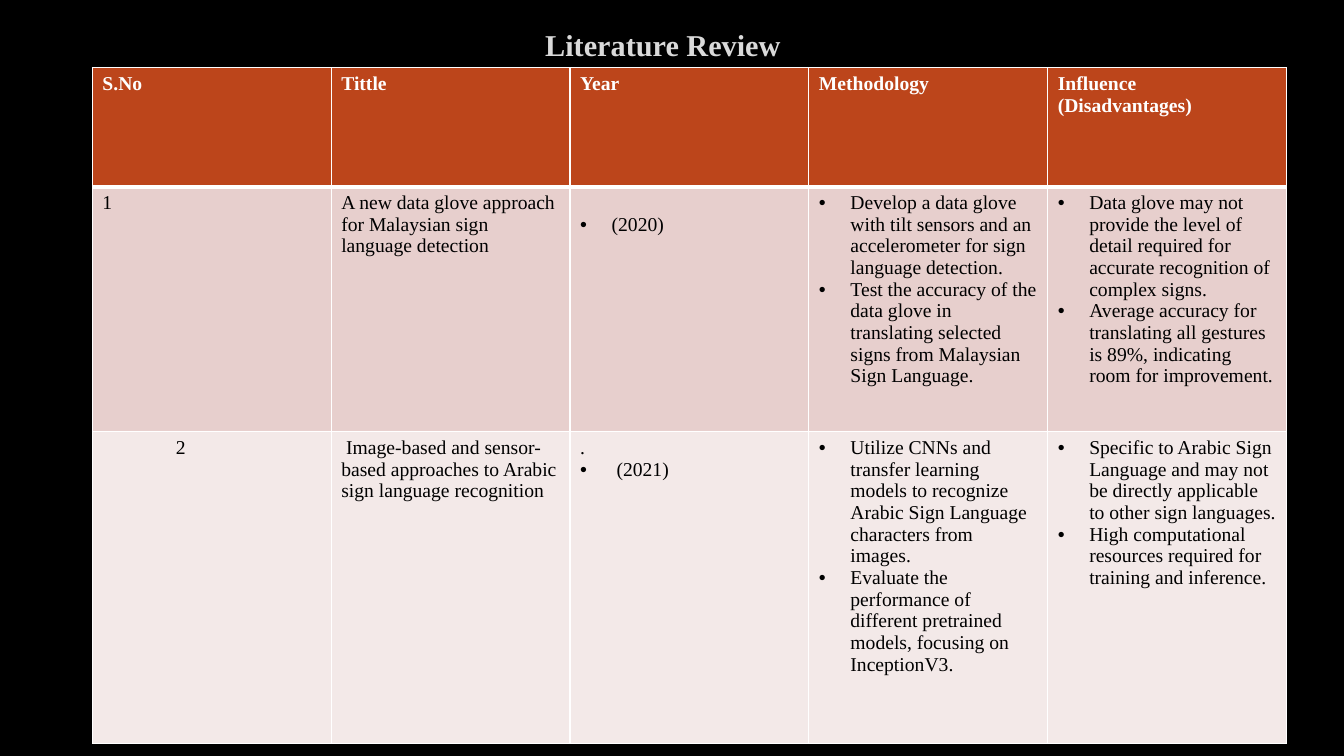
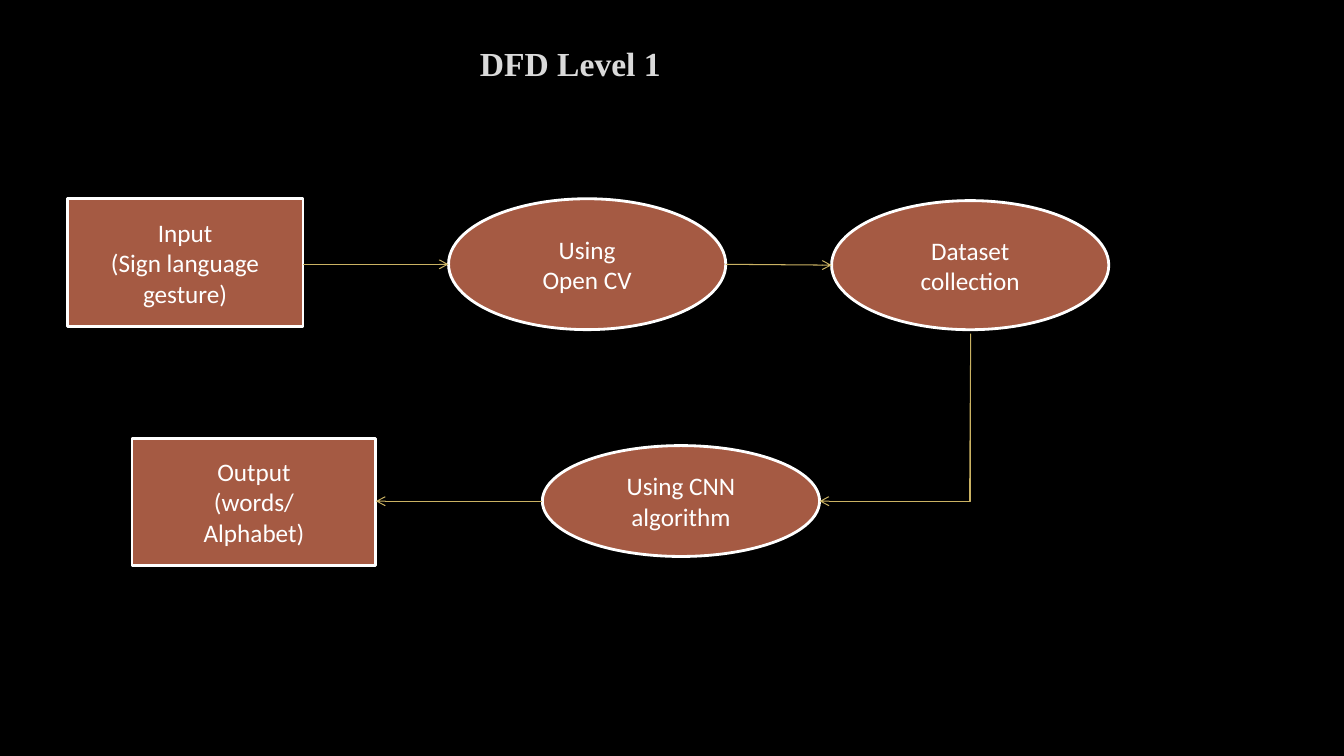
from collections import namedtuple
from functools import partial

from lxml import etree
from pptx import Presentation
from pptx.dml.color import RGBColor
from pptx.enum.shapes import MSO_CONNECTOR, MSO_SHAPE
from pptx.enum.text import MSO_ANCHOR, MSO_AUTO_SIZE, PP_ALIGN
from pptx.oxml.ns import qn
from pptx.util import Pt

RECT, ELLIPSE = MSO_SHAPE.RECTANGLE, MSO_SHAPE.OVAL
STRAIGHT, ELBOW = MSO_CONNECTOR.STRAIGHT, MSO_CONNECTOR.ELBOW
LEFT, CENTER = PP_ALIGN.LEFT, PP_ALIGN.CENTER
TOP, MIDDLE = MSO_ANCHOR.TOP, MSO_ANCHOR.MIDDLE
NO_FIT = MSO_AUTO_SIZE.NONE

SERIF, SANS = "Times New Roman", "Calibri"
BLACK, WHITE, SILVER = "000000", "FFFFFF", "DADADA"
HEADER, ROW_FILLS = "BC451B", ("E7CFCD", "F3E9E8")
NODE, ARROW = "A55A43", "CAB263"

Para = namedtuple("Para", "text left first bullet", defaults=(0, 0, False))
Bullet = partial(Para, left=22.5, first=-22.5, bullet=True)


def rgb(value):
    return RGBColor.from_string(value)


def paint(fill, color):
    fill.solid()
    fill.fore_color.rgb = rgb(color)


def add_xml(parent, tag, **attrs):
    return etree.SubElement(parent, qn(tag), attrs)


def write(tf, paras, size=18, color=WHITE, font=SANS, bold=False, align=CENTER):
    """Fill a text frame with strings or Para items, one paragraph each."""
    for i, item in enumerate(paras):
        para = item if isinstance(item, Para) else Para(item)
        p = tf.paragraphs[0] if i == 0 else tf.add_paragraph()
        p.alignment = align
        if para.left or para.first:
            pPr = p._p.get_or_add_pPr()
            pPr.set("marL", str(Pt(para.left)))
            pPr.set("indent", str(Pt(para.first)))
            if para.bullet:
                add_xml(pPr, "a:buFont", typeface="Arial")
                add_xml(pPr, "a:buChar", char="•")
        r = p.add_run()
        r.text = para.text
        r.font.size, r.font.name, r.font.bold = Pt(size), font, bold
        r.font.color.rgb = rgb(color)


def set_borders(cell, **widths):
    """Draw white borders; keys are L, R, T and B, values are points."""
    tcPr = cell._tc.get_or_add_tcPr()
    for side in "LRTB":
        ln = add_xml(tcPr, "a:ln" + side, w=str(Pt(widths.get(side, 1))))
        add_xml(add_xml(ln, "a:solidFill"), "a:srgbClr", val=WHITE)


class Deck:
    def __init__(self):
        self.prs = Presentation()
        self.prs.slide_width, self.prs.slide_height = Pt(960), Pt(540)
        paint(self.prs.slide_master.background.fill, BLACK)
        self.s = None

    def slide(self, title, x, y, w, h, size):
        self.s = self.prs.slides.add_slide(self.prs.slide_layouts[5])
        sp = self.s.shapes.title
        sp.left, sp.top, sp.width, sp.height = map(Pt, (x, y, w, h))
        tf = sp.text_frame
        tf.auto_size, tf.vertical_anchor = NO_FIT, MIDDLE
        write(tf, [title], size, SILVER, SERIF, bold=True)

    def table(self, rows, x, y, col_width, heights):
        cols = len(rows[0])
        frame = self.s.shapes.add_table(len(rows), cols, Pt(x), Pt(y),
                                        Pt(col_width * cols), Pt(sum(heights)))
        table = frame.table
        for col in table.columns:
            col.width = Pt(col_width)
        for i, (row, height) in enumerate(zip(rows, heights)):
            table.rows[i].height = Pt(height)
            for j, paras in enumerate(row):
                self.cell(table.cell(i, j), paras, i)
        return table

    def cell(self, cell, paras, row):
        head = row == 0
        set_borders(cell, B=3 if head else 1, T=3 if row == 1 else 1)
        paint(cell.fill, HEADER if head else ROW_FILLS[(row - 1) % 2])
        cell.vertical_anchor = TOP
        write(cell.text_frame, paras, 14, WHITE if head else BLACK, SERIF, head, LEFT)

    def node(self, kind, lines, x, y, w, h):
        sp = self.s.shapes.add_shape(kind, Pt(x), Pt(y), Pt(w), Pt(h))
        sp.shadow.inherit = False
        paint(sp.fill, NODE)
        paint(sp.line.fill, WHITE)
        sp.line.width = Pt(2)
        tf = sp.text_frame
        tf.word_wrap, tf.vertical_anchor = True, MIDDLE
        write(tf, lines)

    def line(self, x1, y1, x2, y2, kind=STRAIGHT, arrow=True):
        c = self.s.shapes.add_connector(kind, Pt(x1), Pt(y1), Pt(x2), Pt(y2))
        paint(c.line.fill, ARROW)
        c.line.width = Pt(0.75)
        spPr = c._element.spPr
        if arrow:
            add_xml(spPr.find(qn("a:ln")), "a:tailEnd", type="arrow")
        add_xml(spPr, "a:effectLst")
        return c

    def down_left_arrow(self, x1, y1, x2, y2):
        """Run down, then left: a one-bend connector turned by 90 degrees."""
        down, left = y2 - y1, x1 - x2
        x, y = (x1 + x2 - down) / 2, (y1 + y2 - left) / 2
        spPr = self.line(x, y, x + down, y + left, ELBOW)._element.spPr
        spPr.find(qn("a:xfrm")).set("rot", "5400000")
        spPr.find(qn("a:prstGeom")).set("prst", "bentConnector2")


REVIEW = [
    [["S.No"], ["Tittle"], ["Year"], ["Methodology"], ["Influence", "(Disadvantages)"]],
    [
        ["1"],
        ["A new data glove approach for Malaysian sign language detection"],
        [Bullet("(2020)")],
        [Bullet("Develop a data glove with tilt sensors and an accelerometer "
                "for sign language detection."),
         Bullet("Test the accuracy of the data glove in translating selected "
                "signs from Malaysian Sign Language.")],
        [Bullet("Data glove may not provide the level of detail required for "
                "accurate recognition of complex signs."),
         Bullet("Average accuracy for translating all gestures is 89%, "
                "indicating room for improvement.")],
    ],
    [
        [Para("2", left=52.5)],
        [Para("Image-based and sensor-based approaches to Arabic sign "
              "language recognition", first=3.5)],
        [".", Bullet("(2021)", left=26, first=-26)],
        [Bullet("Utilize CNNs and transfer learning models to recognize Arabic "
                "Sign Language characters from images."),
         Bullet("Evaluate the performance of different pretrained models, "
                "focusing on InceptionV3.")],
        [Bullet("Specific to Arabic Sign Language and may not be directly "
                "applicable to other sign languages."),
         Bullet("High computational resources required for training and "
                "inference.")],
    ],
]


def literature_review(deck):
    deck.slide("Literature Review", 56.3, 13.7, 834.5, 36, 21.6)
    table = deck.table(REVIEW, 66, 48.5, 170.6, (85, 175, 222.5))
    table.cell(1, 2).margin_top = Pt(19.2)


def dfd_level_1(deck):
    deck.slide("DFD Level 1", 27.4, 14.4, 760, 61.2, 24)
    upper, lower = 188.8, 358
    turn = 693.4
    deck.node(ELLIPSE, ["Using", "Open CV"], 320.4, 142, 198, 93.5)
    deck.node(ELLIPSE, ["Dataset collection"], 594, 143.3, 198, 92.2)
    deck.node(ELLIPSE, ["Using CNN algorithm"], 387.4, 318.3, 198, 79.2)
    deck.node(RECT, ["Input", "(Sign language gesture)"], 48, 142, 168.5, 91.5)
    deck.node(RECT, ["Output", "(words/", "Alphabet)"], 94.3, 313, 174.2, 90.8)
    deck.line(216.5, upper, 320.4, upper)
    deck.line(518.4, upper, 594, upper + 0.6)
    deck.down_left_arrow(turn, 241.2, 585.4, lower)
    deck.line(turn, 238.3, turn - 0.8, lower, arrow=False)
    deck.line(387.4, lower, 268.5, lower)


def main():
    deck = Deck()
    literature_review(deck)
    dfd_level_1(deck)
    deck.prs.save("out.pptx")


if __name__ == "__main__":
    main()
